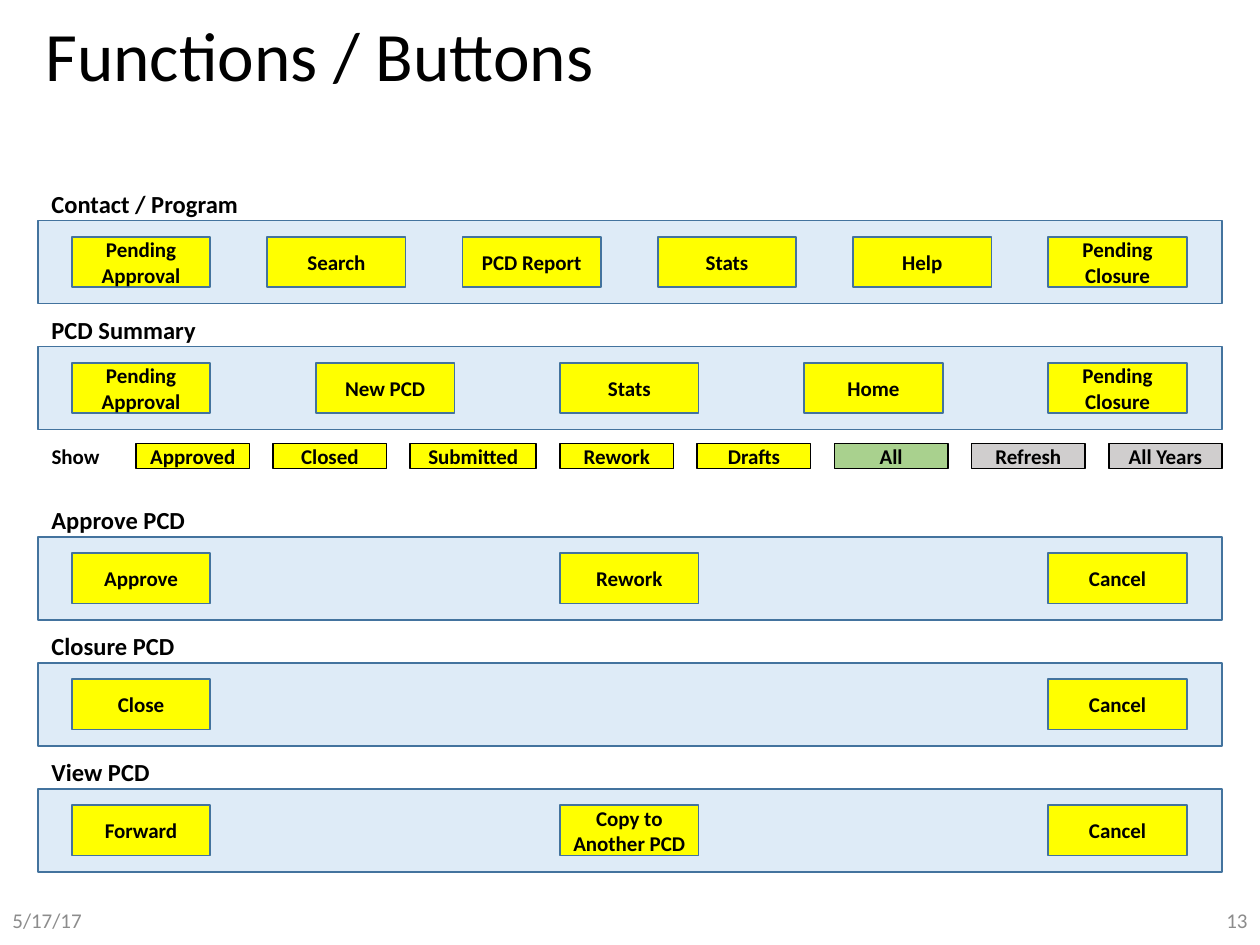
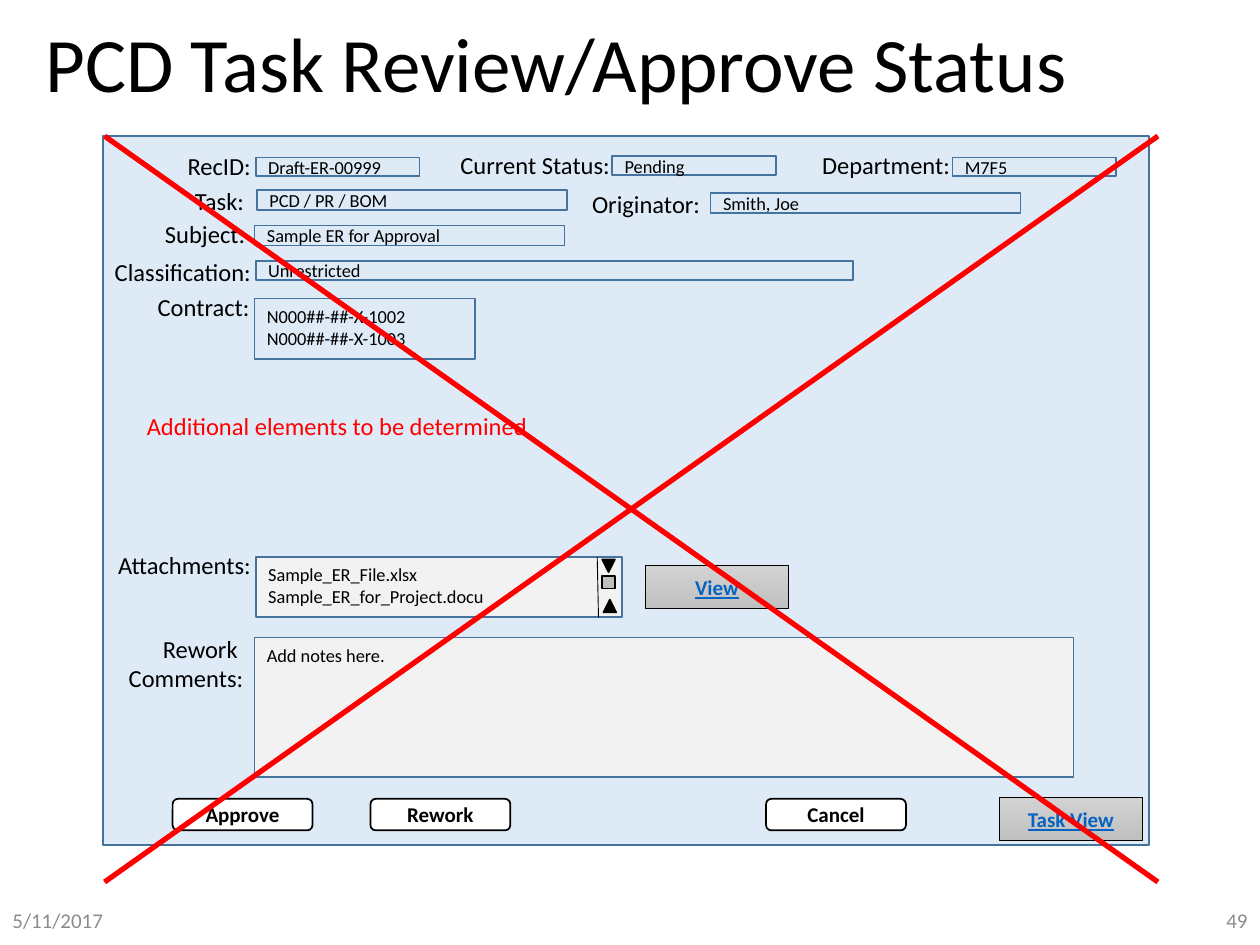
from pptx import Presentation
from pptx.dml.color import RGBColor
from pptx.enum.shapes import MSO_CONNECTOR, MSO_SHAPE as Kind
from pptx.enum.text import MSO_ANCHOR as Anchor, MSO_AUTO_SIZE as Auto, PP_ALIGN as Align
from pptx.oxml.ns import qn
from pptx.util import Inches, Pt
from lxml import etree

# Shared look
FONT = "Calibri"
BLACK = RGBColor(0x00, 0x00, 0x00)
WHITE = RGBColor(0xFF, 0xFF, 0xFF)
PALE = RGBColor(0xDE, 0xEB, 0xF7)
BLUE = RGBColor(0x43, 0x73, 0x9E)
YELLOW = RGBColor(0xFF, 0xFF, 0x00)
GREEN = RGBColor(0xA9, 0xD1, 0x8E)
GREY = RGBColor(0xD0, 0xCE, 0xCE)
FOOT = RGBColor(0x8C, 0x8C, 0x8C)
PAPER = RGBColor(0xF2, 0xF2, 0xF2)
THUMB = RGBColor(0xBF, 0xBF, 0xBF)
SHINE = (RGBColor(0xD2, 0xD2, 0xD2), RGBColor(0xC0, 0xC0, 0xC0))
LINK = RGBColor(0x05, 0x63, 0xC1)
RED = RGBColor(0xFF, 0x00, 0x00)

# Button slide: heading, top of band, buttons
BANDS = [
    ("Contact / Program", 1.75,
     ["Pending Approval", "Search", "PCD Report", "Stats", "Help", "Pending Closure"]),
    ("PCD Summary", 2.75,
     ["Pending Approval", "New PCD", "Stats", "Home", "Pending Closure"]),
    ("Approve PCD", 4.26, ["Approve", "Rework", "Cancel"]),
    ("Closure PCD", 5.26, ["Close", "Cancel"]),
    ("View PCD", 6.26, ["Forward", "Copy to Another PCD", "Cancel"]),
]
FILTERS = [
    ("Approved", 0.9, YELLOW), ("Closed", 0.9, YELLOW), ("Submitted", 1, YELLOW),
    ("Rework", 0.9, YELLOW), ("Drafts", 0.9, YELLOW), ("All", 0.9, GREEN),
    ("Refresh", 0.9, GREY), ("All Years", 0.9, GREY),
]

# Form slide: label, (left, top, width, height), fill
LABELS = [
    ("RecID:", (1.29, 1.15, 0.8, 0.34), PALE),
    ("Task: ", (1.2, 1.43, 0.88, 0.34), None),
    ("Subject: ", (1.21, 1.69, 0.88, 0.34), None),
    ("Classification:", (0.79, 1.99, 1.3, 0.34), None),
    ("Contract:", (1.15, 2.27, 0.93, 0.34), PALE),
    ("Current Status:", (3.54, 1.14, 1.4, 0.34), None),
    ("Department:", (6.41, 1.14, 1.23, 0.34), None),
    ("Originator: ", (4.63, 1.45, 1.07, 0.34), None),
    ("Attachments:", (0.82, 4.32, 1.27, 0.34), None),
    ("Rework \nComments:", (0.82, 4.98, 1.21, 0.57), None),
]
FIELDS = [
    ("Draft-ER-00999", (2.03, 1.25, 1.3, 0.15), PALE),
    ("Pending", (4.86, 1.24, 1.3, 0.15), None),
    ("M7F5", (7.56, 1.25, 1.3, 0.15), None),
    ("PCD / PR / BOM", (2.04, 1.51, 2.46, 0.16), None),
    ("Smith, Joe", (5.64, 1.53, 2.46, 0.16), None),
    ("Sample ER for Approval", (2.02, 1.79, 2.46, 0.16), None),
    ("Unrestricted", (2.03, 2.07, 4.74, 0.15), PALE),
]
AREAS = [
    ("N000##-##-X-1002\nN000##-##-X-1003", (2.02, 2.37, 1.75, 0.48), None),
    ("Sample_ER_File.xlsx\nSample_ER_for_Project.docu", (2.03, 4.42, 2.91, 0.48), PAPER),
    ("Add notes here.", (2.02, 5.06, 6.5, 1.11), PAPER),
]
ACTIONS = [("Approve", 1.37), ("Rework", 2.94), ("Cancel", 6.08)]
LINKS = [("View", (5.12, 4.49, 1.14, 0.34)), ("Task View", (7.93, 6.33, 1.14, 0.34))]


def write(shape, text, size, color=BLACK, bold=None, align=Align.LEFT,
          anchor=Anchor.MIDDLE, pads=(0.1, 0.1), under=None):
    frame = shape.text_frame
    frame.text = text
    frame.word_wrap = True
    frame.auto_size = Auto.NONE
    frame.vertical_anchor = anchor
    frame.margin_left, frame.margin_right = map(Inches, pads)
    for para in frame.paragraphs:
        para.alignment = align
        for run in para.runs:
            font = run.font
            font.name, font.size, font.bold = FONT, Pt(size), bold
            font.underline = under
            font.color.rgb = color


def box(slide, at, fill=None, line=None, kind=Kind.RECTANGLE, width=1):
    shape = slide.shapes.add_shape(kind, *map(Inches, at))
    shape.shadow.inherit = False
    if fill is None:
        shape.fill.background()
    else:
        shape.fill.solid()
        shape.fill.fore_color.rgb = fill
    if line is None:
        shape.line.fill.background()
    else:
        shape.line.color.rgb = line
        shape.line.width = Pt(width)
    return shape


def label(slide, text, at, size, **style):
    write(slide.shapes.add_textbox(*map(Inches, at)), text, size, **style)


def button(slide, text, at, fill, line, kind=Kind.RECTANGLE):
    write(box(slide, at, fill, line, kind), text, 12, bold=True,
          align=Align.CENTER, pads=(0.05, 0.05))


def rule(slide, start, end, color, width):
    line = slide.shapes.add_connector(MSO_CONNECTOR.STRAIGHT,
                                      *map(Inches, start + end))
    line.line.color.rgb = color
    line.line.width = Pt(width)
    etree.SubElement(line._element.spPr, qn("a:effectLst"))


def page(deck, title, at, size, date, number):
    slide = deck.slides.add_slide(deck.slide_layouts[5])
    head = slide.shapes.title
    head.left, head.top, head.width, head.height = map(Inches, at)
    write(head, title, size)
    head.text_frame.paragraphs[0].line_spacing = 0.9
    label(slide, date, (0, 7.1, 2.25, 0.4), 12, color=FOOT)
    label(slide, number, (7.75, 7.1, 2.25, 0.4), 12, color=FOOT, align=Align.RIGHT)
    return slide


deck = Presentation()
deck.slide_width, deck.slide_height = Inches(10), Inches(7.5)

# Functions and buttons: each band spreads its buttons evenly
slide = page(deck, "Functions / Buttons", (0.26, 0.09, 9.5, 0.76), 39.6, "5/17/17", "13")
FIRST, LAST = 0.57, 8.32
for name, top, names in BANDS:
    box(slide, (0.3, top, 9.4, 0.66), PALE, BLUE)
    label(slide, name, (0.31, top - 0.3, 2, 0.34), 14, bold=True, anchor=Anchor.TOP)
    step = (LAST - FIRST) / (len(names) - 1)
    for i, text in enumerate(names):
        button(slide, text, (FIRST + i * step, top + 0.13, 1.1, 0.4), YELLOW, BLUE)

# Filter row with equal gaps
label(slide, "Show", (0.3, 3.52, 0.6, 0.2), 12, bold=True,
      align=Align.CENTER, pads=(0, 0))
left, right = 1.08, 9.7
gap = (right - left - sum(f[1] for f in FILTERS)) / (len(FILTERS) - 1)
for text, wide, fill in FILTERS:
    button(slide, text, (left, 3.52, wide, 0.2), fill, BLACK)
    left += wide + gap

# Review form
slide = page(deck, "PCD Task Review/Approve Status", (0.26, 0.1, 8.62, 0.87), 44,
             "5/11/2017", "49")
box(slide, (0.82, 1.08, 8.3, 5.63), PALE, BLUE)
for text, at, fill in LABELS:
    write(box(slide, at, fill), text, 14, align=Align.RIGHT,
          anchor=Anchor.TOP, pads=(0, 0.1))
for rows, anchor in ((FIELDS, Anchor.MIDDLE), (AREAS, Anchor.TOP)):
    for text, at, fill in rows:
        write(box(slide, at, fill, BLUE), text, 10.5, anchor=anchor)
label(slide, "Additional elements to be determined", (1.05, 3.21, 3.25, 0.34), 14,
      color=RED, align=Align.CENTER, anchor=Anchor.TOP, pads=(0.05, 0.05))

# Scroll bar of the attachment list
rule(slide, (4.74, 4.42), (4.75, 4.9), BLACK, 0.5)
box(slide, (4.79, 4.76, 0.1, 0.1), BLACK, BLACK, Kind.ISOSCELES_TRIANGLE)
down = box(slide, (4.78, 4.44, 0.1, 0.1), BLACK, BLACK, Kind.ISOSCELES_TRIANGLE)
down.rotation = 180
box(slide, (4.78, 4.57, 0.1, 0.1), THUMB, BLACK, Kind.FLOWCHART_PROCESS)

# Form buttons
for text, x in ACTIONS:
    button(slide, text, (x, 6.34, 1.11, 0.25), WHITE, BLACK, Kind.ROUNDED_RECTANGLE)
for text, at in LINKS:
    shape = box(slide, at, None, BLACK, Kind.ACTION_BUTTON_CUSTOM, 0.5)
    shape.fill.gradient()
    shape.fill.gradient_angle = 270
    for stop, color in zip(shape.fill.gradient_stops, SHINE):
        stop.color.rgb = color
    write(shape, text, 12, LINK, True, Align.CENTER, under=True)

# Red cross over the form
for y, end in ((1.08, 7), (7, 1.08)):
    rule(slide, (0.83, y), (9.19, end), RED, 3)

deck.save("out.pptx")
